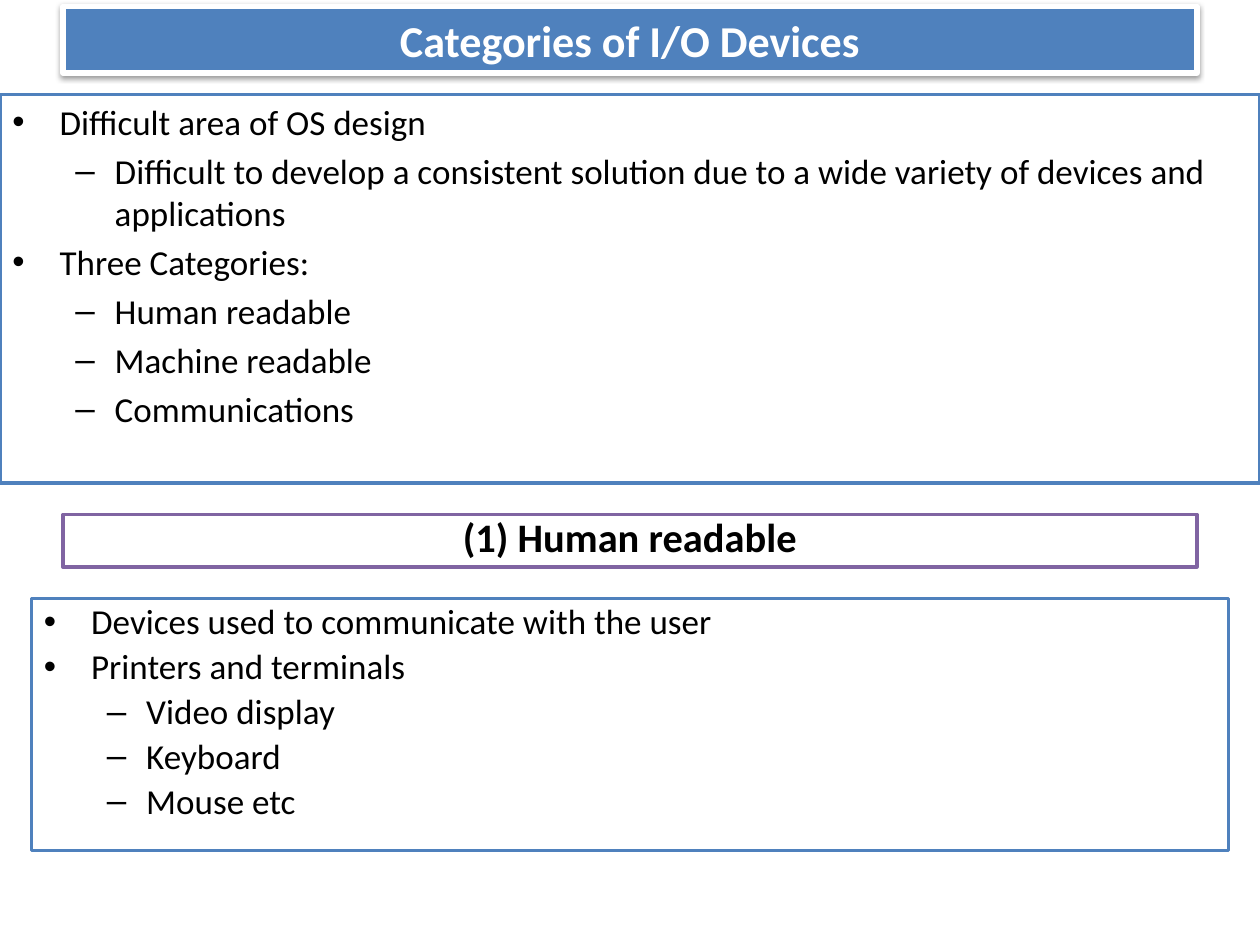
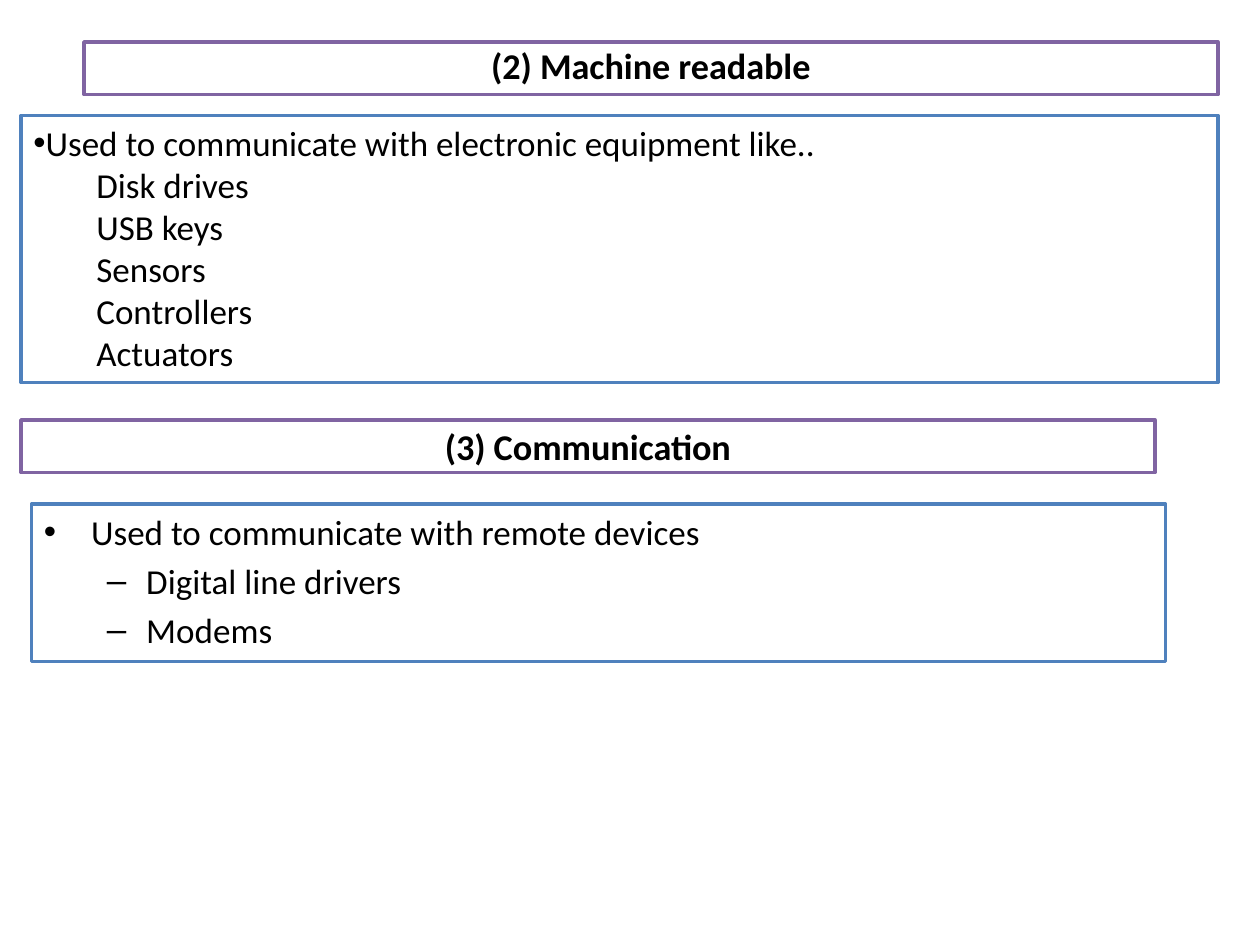
from dataclasses import dataclass
from lxml import etree
from pptx import Presentation
from pptx.dml.color import RGBColor
from pptx.enum import shapes, text
from pptx.oxml.ns import qn
from pptx.util import Pt


@dataclass(frozen=True)
class Theme:
    font: str = "Calibri"
    blue: str = "4F81BD"
    plum: str = "8064A2"
    white: str = "FFFFFF"
    black: str = "000000"
    title: float = 25.2
    head: float = 23.1
    small: float = 20.7
    body: float = 20
    rule: float = 2
    frame: float = 3


T = Theme()

# Paragraph kinds: level, left margin, first indent, bullet, space before
KINDS = {
    "dot": (0, 27, -27, "•", 4),
    "dash": (1, 58.5, -22.5, "–", 4),
    "flush": (0, 0, 0, "•", 0),
    "plain": (1, 36, 0, None, 0),
    "head": (0, 0, 0, None, 0),
}

# Box styles: fill, line, line width, text colour
STYLES = {
    "title": (T.blue, T.white, T.frame, T.white),
    "head": (T.white, T.plum, T.rule, T.black),
    "body": (T.white, T.blue, T.rule, T.black),
}

# Content: style, place (left, top, width, height), format, paragraphs by kind
SLIDES = [
    [
        ("title", (36, 3.6, 648, 38.16), dict(size=T.title),
         [("head", ["Categories of I/O Devices"])]),
        ("body", (0, 54, 720, 222), {}, [
            ("dot", ["Difficult area of OS design"]),
            ("dash", ["Difficult to develop a consistent solution due to "
                      "a wide variety of devices and applications"]),
            ("dot", ["Three Categories:"]),
            ("dash", ["Human readable", "Machine readable",
                      "Communications"])]),
        ("head", (36, 294, 648, 30), dict(size=T.head, lead=0.8),
         [("head", ["(1) Human readable"])]),
        ("body", (18, 342, 684, 144), dict(lead=0.9), [
            ("dot", ["Devices used to communicate with the user",
                     "Printers and terminals"]),
            ("dash", ["Video display", "Keyboard", "Mouse etc"])]),
    ],
    [
        ("head", (48, 24, 648, 30), dict(size=T.small, lead=0.9),
         [("head", ["(2) Machine readable"])]),
        ("body", (12, 66, 684, 152.64), dict(grow=True), [
            ("flush", ["Used to communicate with electronic equipment "
                       "like.."]),
            ("plain", ["Disk drives", "USB keys", "Sensors",
                       "Controllers", "Actuators"])]),
        ("head", (12, 240, 648, 30), dict(size=T.small),
         [("head", ["(3) Communication"])]),
        ("body", (18, 288, 648, 90), {}, [
            ("dot", ["Used to communicate with remote devices"]),
            ("dash", ["Digital line drivers", "Modems"])]),
    ],
]


def rgb(code):
    return RGBColor.from_string(code)


def node(root, tag, **attrs):
    return etree.SubElement(root, qn(tag), attrs)


def write(para, words, kind="dot", size=T.body, color=T.black, lead=None):
    """Fill one paragraph and format it."""
    level, left, first, mark, gap = KINDS[kind]
    head = kind == "head"
    para.level = level
    para.alignment = text.PP_ALIGN.CENTER if head else text.PP_ALIGN.LEFT
    para.space_before = Pt(gap)
    if lead:
        para.line_spacing = lead
    run = para.add_run()
    run.text = words
    font = run.font
    font.name, font.size, font.bold = T.font, Pt(size), head
    font.color.rgb = rgb(color)
    # Indents and bullet
    props = para._p.get_or_add_pPr()
    props.set("marL", str(Pt(left)))
    props.set("indent", str(Pt(first)))
    if mark:
        node(props, "a:buFont", typeface="Arial")
        node(props, "a:buChar", char=mark)
    else:
        node(props, "a:buNone")


def shade(shape):
    """Soft shadow straight below the title band."""
    effect = shape._element.spPr.find(qn("a:effectLst"))
    cast = node(effect, "a:outerShdw", blurRad=str(Pt(3.1)),
                dist=str(Pt(1.6)), dir="5400000", rotWithShape="0")
    node(node(cast, "a:srgbClr", val=T.black), "a:alpha", val="38000")


def box(slide, style, place, paras, grow=False, **form):
    """Draw a framed box and its paragraphs."""
    fill, line, width, color = STYLES[style]
    shape = slide.shapes.add_shape(
        shapes.MSO_SHAPE.RECTANGLE, *(Pt(n) for n in place))
    shape.fill.solid()
    shape.fill.fore_color.rgb = rgb(fill)
    shape.line.color.rgb = rgb(line)
    shape.line.width = Pt(width)
    shape.shadow.inherit = False
    if style == "title":
        shade(shape)
    frame = shape.text_frame
    frame.word_wrap = True
    frame.vertical_anchor = (text.MSO_ANCHOR.TOP if style == "body"
                             else text.MSO_ANCHOR.MIDDLE)
    frame.auto_size = (text.MSO_AUTO_SIZE.SHAPE_TO_FIT_TEXT if grow
                       else text.MSO_AUTO_SIZE.NONE)
    rows = [(kind, words) for kind, group in paras for words in group]
    for i, (kind, words) in enumerate(rows):
        para = frame.add_paragraph() if i else frame.paragraphs[0]
        write(para, words, kind=kind, color=color, **form)


# Build the deck
deck = Presentation()
deck.slide_width, deck.slide_height = Pt(720), Pt(540)
for boxes in SLIDES:
    slide = deck.slides.add_slide(deck.slide_layouts[6])
    for style, place, form, paras in boxes:
        box(slide, style, place, paras, **form)
deck.save("out.pptx")
